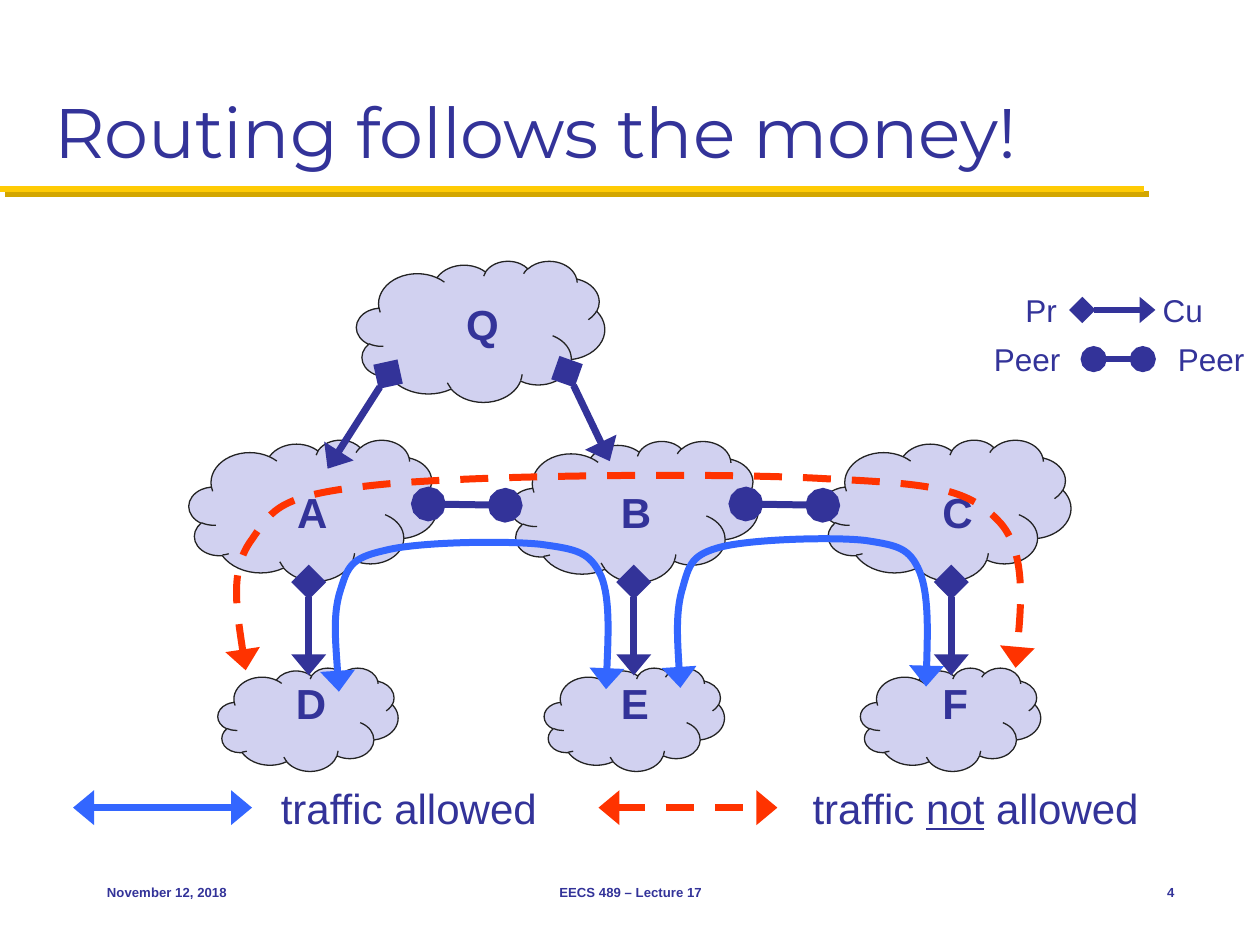
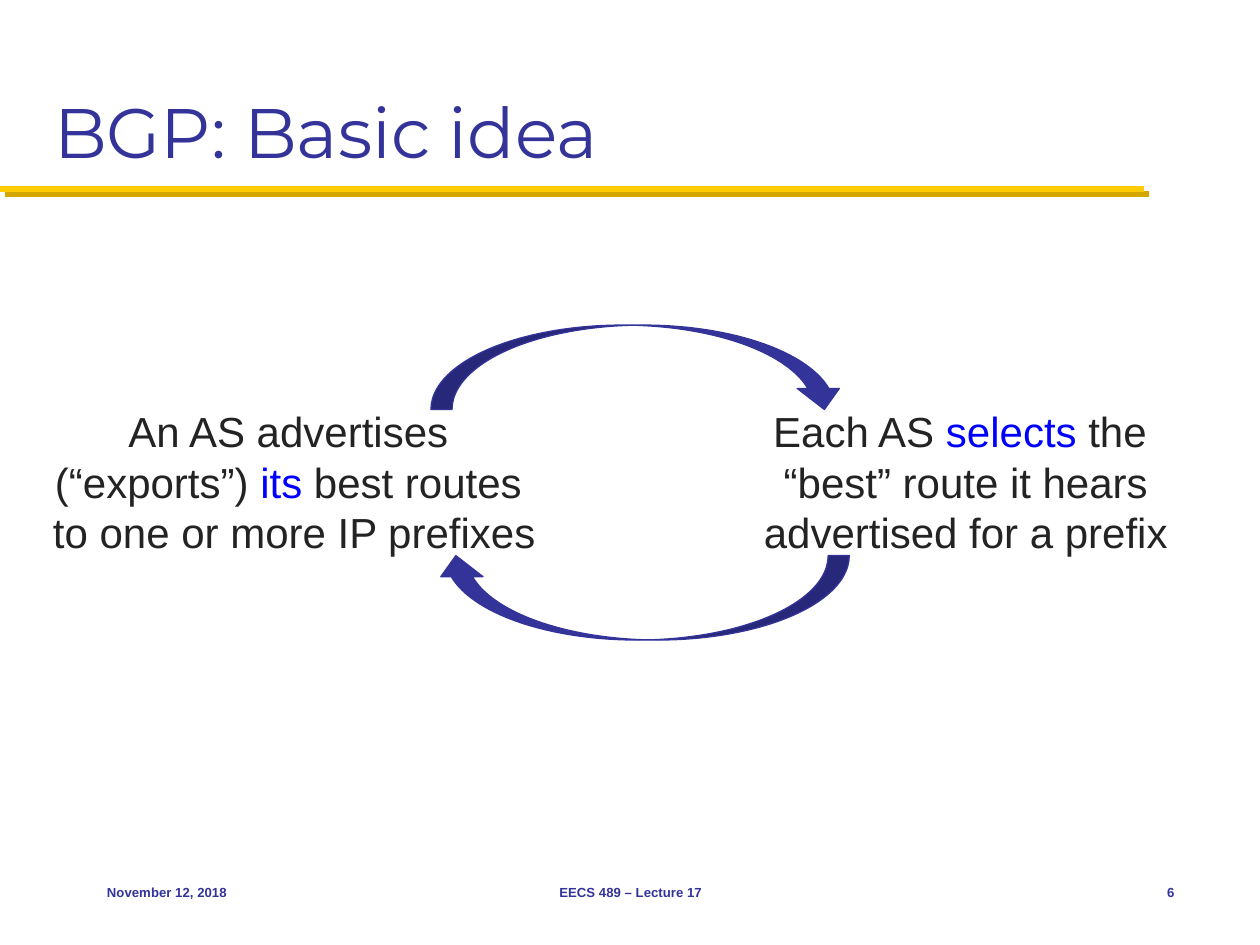
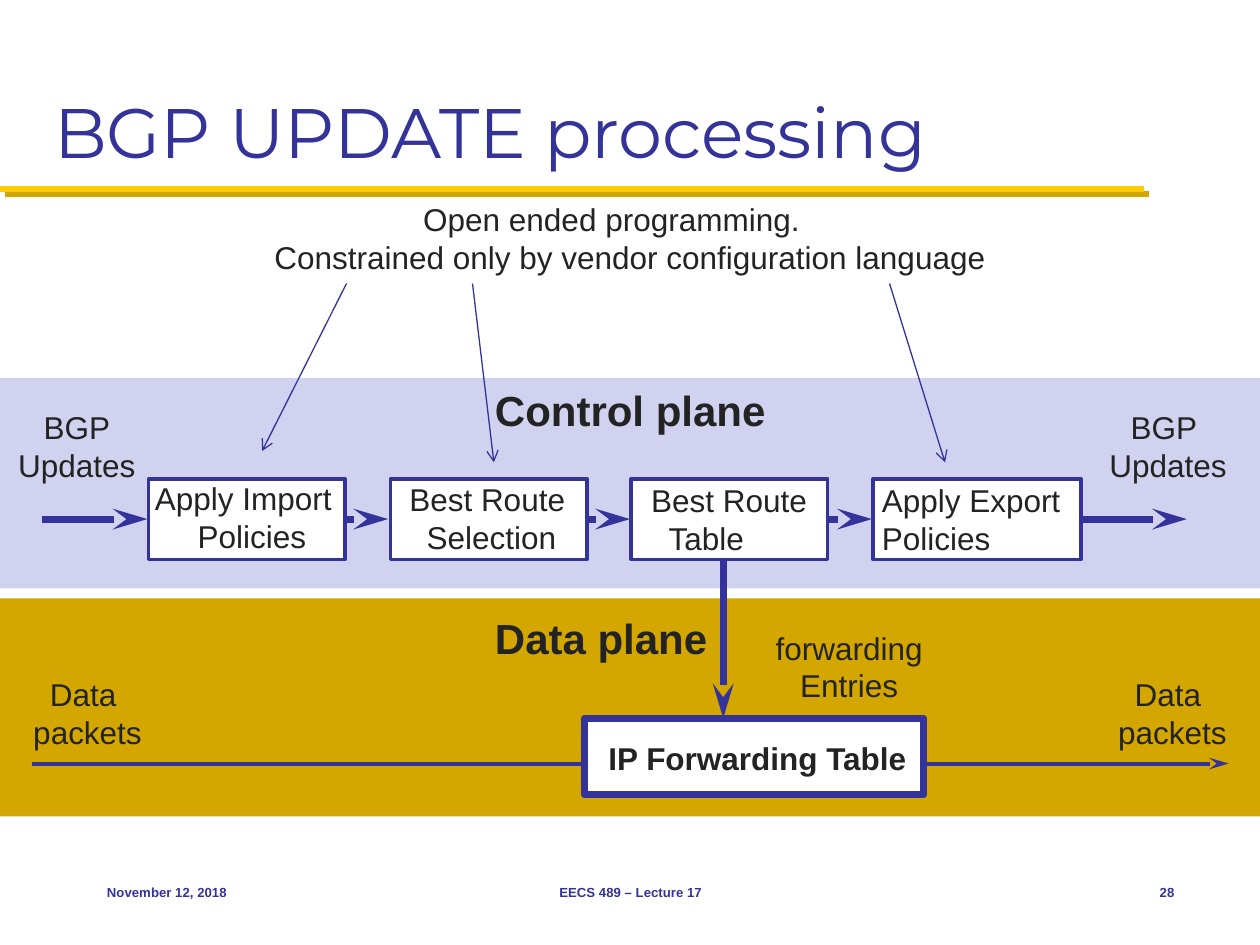
from copy import deepcopy

from pptx import Presentation
from pptx.dml.color import RGBColor
from pptx.enum.dml import MSO_LINE_DASH_STYLE as Dash
from pptx.enum.shapes import MSO_CONNECTOR as Connector, MSO_SHAPE as Preset
from pptx.enum.text import MSO_ANCHOR as Anchor, MSO_AUTO_SIZE as AutoSize, PP_ALIGN as Align
from pptx.oxml.xmlchemy import OxmlElement
from pptx.util import Cm, Pt

NAVY, LAVENDER, INK = "333399", "D1D1F0", "232323"
GOLD, OCHRE, WHITE = "FFCB05", "D3A600", "FFFFFF"
ALLOWED, FORBIDDEN, ACCENT = "3366FF", "FF3300", "0000FF"

TITLE_FONT = {"name": "Montserrat", "size": Pt(40), "bold": False}
LARGE = {"name": "Arial", "size": Pt(24)}
SMALL = {"name": "Arial", "size": Pt(18)}
FOOTER_FONT = {"name": "Arial", "size": Pt(7.5), "bold": True}
BOLD = {"bold": True}

TITLE_AND_BODY, TITLE_ONLY = 1, 5
# Width and length of each kind of line end
HEAD_SIZES = {"triangle": ("lg", "med"), "diamond": ("lg", "lg"), "oval": ("lg", "lg"),
              "stealth": ("med", "lg"), "arrow": ("med", "med")}


def lengths(*inches):
    """Turn positions on the inch grid into lengths."""
    return [Cm(2.54 * value) for value in inches]


def paint(color_format, hex_color):
    """Give a colour format an RGB colour."""
    color_format.rgb = RGBColor.from_string(hex_color)


def set_values(target, values):
    """Set attributes from a dict of format values."""
    for key, value in values.items():
        setattr(target, key, value)


def place(shape, box):
    """Move and size a shape to (left, top, width, height)."""
    set_values(shape, dict(zip(("left", "top", "width", "height"), lengths(*box))))


def add_piece(paragraph, text, font, color):
    """Add formatted text, with a line break at each newline."""
    for index, part in enumerate(text.split("\n")):
        if index:
            paragraph.add_line_break()
        run = paragraph.add_run()
        run.text = part
        set_values(run.font, font)
        paint(run.font.color, color)
        if index:
            run._r.getprevious().append(deepcopy(run._r.rPr))


def write(frame, paragraphs, font, color=INK, align=Align.LEFT, indents=(), before=None):
    """Fill a text frame; a paragraph is a string or (text, format, colour) pieces."""
    for index, content in enumerate(paragraphs):
        paragraph = frame.add_paragraph() if index else frame.paragraphs[0]
        set_values(paragraph, {"alignment": align, "space_before": before})
        if index < len(indents):
            set_values(paragraph._p.get_or_add_pPr(), {})
            paragraph._p.get_or_add_pPr().set("marL", str(Cm(indents[index])))
        pieces = [(content, {}, color)] if isinstance(content, str) else content
        for text, extra, piece_color in pieces:
            add_piece(paragraph, text, {**font, **extra}, piece_color)


def add_text(slide, box, paragraphs, font, wrap=False, grow=True, anchor=Anchor.TOP, **style):
    """Add a text box."""
    label = slide.shapes.add_textbox(*lengths(*box))
    set_values(label.text_frame, {
        "word_wrap": wrap, "vertical_anchor": anchor,
        "auto_size": AutoSize.SHAPE_TO_FIT_TEXT if grow else AutoSize.NONE})
    write(label.text_frame, paragraphs, font, **style)


def add_figure(slide, preset, box, fill, line=None, width=0.75, rotation=0):
    """Add a filled preset shape, outlined when a line colour is given."""
    figure = slide.shapes.add_shape(preset, *lengths(*box))
    figure.rotation = rotation
    figure.shadow.inherit = False
    figure.fill.solid()
    paint(figure.fill.fore_color, fill)
    if line:
        paint(figure.line.color, line)
        figure.line.width = Pt(width)
    else:
        figure.line.fill.background()


def style_line(stroke, color, width, head=None, tail=None, dash=None):
    """Set colour, width, dash and line ends of a stroke."""
    paint(stroke.line.color, color)
    stroke.line.width = Pt(width)
    if dash:
        stroke.line.dash_style = dash
    outline = stroke.element.spPr.get_or_add_ln()
    for tag, kind in (("a:headEnd", head), ("a:tailEnd", tail)):
        if kind:
            end = OxmlElement(tag)
            for key, value in zip(("type", "w", "len"), (kind, *HEAD_SIZES[kind])):
                end.set(key, value)
            outline.append(end)


def add_line(slide, start, end, color=NAVY, width=4, **ends):
    """Add a straight line without a shadow and return it."""
    line = slide.shapes.add_connector(Connector.STRAIGHT, *lengths(*start, *end))
    style_line(line, color, width, **ends)
    line.element.spPr.append(OxmlElement("a:effectLst"))
    return line


def add_route(slide, points, color, dash=None):
    """Add a Bezier curve with arrows at both ends; points include the handles."""
    start, *others = [lengths(*point) for point in points]
    builder = slide.shapes.build_freeform(*start)
    builder.add_line_segments(others, close=False)
    route = builder.convert_to_shape()
    route.shadow.inherit = False
    route.fill.background()
    style_line(route, color, 4, "triangle", "triangle", dash)
    segments = route.element.xpath(".//a:lnTo")
    for first in range(0, len(segments), 3):
        curve = OxmlElement("a:cubicBezTo")
        segments[first].addprevious(curve)
        for segment in segments[first:first + 3]:
            curve.append(segment[0])
            segment.getparent().remove(segment)


def add_title_rule(prs, slide):
    """Draw the gold rule with its hard shadow and hand it to the master."""
    rule = add_line(slide, (0, 1.5), (9.08, 1.5), GOLD, 3.5)
    shadow = OxmlElement("a:outerShdw")
    for key, value in {"dist": Pt(4.2), "dir": 45 * 60000, "algn": "ctr",
                       "rotWithShape": 0}.items():
        shadow.set(key, str(value))
    shade = OxmlElement("a:srgbClr")
    shade.set("val", OCHRE)
    shadow.append(shade)
    rule.element.spPr[-1].append(shadow)
    rule.element.nvCxnSpPr.cNvPr.set("id", "20")
    prs.slide_master.element.cSld.spTree.append(rule.element)


def add_slide(prs, title, number, layout=TITLE_ONLY):
    """Add a slide with the shared title and footers."""
    slide = prs.slides.add_slide(prs.slide_layouts[layout])
    heading = slide.shapes.title
    place(heading, (0.33, 0.17, 9.33, 1.25))
    set_values(heading.text_frame, {"vertical_anchor": Anchor.BOTTOM, "word_wrap": True,
                                    "auto_size": AutoSize.NONE})
    write(heading.text_frame, [title], TITLE_FONT, NAVY)
    for left, width, text, align in (
            (0.75, 2.08, "November 12, 2018", Align.LEFT),
            (3.42, 3.17, "EECS 489 – Lecture 17", Align.CENTER),
            (8.75, 0.67, str(number), Align.RIGHT)):
        add_text(slide, (left, 6.83, width, 0.5), [text], FOOTER_FONT, grow=False,
                 anchor=Anchor.MIDDLE, color=NAVY, align=align)
    return slide


def add_network(slide):
    """Draw the clouds, their links and their names."""
    for left in (1.73, 4.32, 6.83):
        add_figure(slide, Preset.CLOUD, (left, 5.3, 1.43, 0.82), LAVENDER, INK)
    for left, top in ((4.05, 3.5), (6.53, 3.49), (1.5, 3.49), (2.83, 2.07)):
        add_figure(slide, Preset.CLOUD, (left, top, 1.97, 1.12), LAVENDER, INK)
    for left in (3.4, 5.92):
        add_line(slide, (left, 4), (left + 0.61, 4.01), head="oval", tail="oval")
    customer_links = [((x, 4.62), (x, 5.36)) for x in (2.45, 5.03, 7.55)]
    customer_links += [((3.08, 2.97), (2.6, 3.72)), ((4.5, 2.95), (4.84, 3.66))]
    for provider, customer in customer_links:
        add_line(slide, provider, customer, head="diamond", tail="triangle")
    names = {"A": (2.26, 3.81), "B": (4.83, 3.81), "C": (7.38, 3.81), "D": (2.25, 5.33),
             "E": (4.83, 5.33), "F": (7.38, 5.33), "Q": (3.6, 2.32)}
    for name, corner in names.items():
        add_text(slide, (*corner, 0.38, 0.37), [name], {**LARGE, **BOLD}, color=NAVY)


def add_link_legend(slide):
    """Explain the provider-customer and peer links."""
    add_line(slide, (8.59, 2.46), (9.17, 2.46), width=3, head="diamond", tail="triangle")
    add_line(slide, (8.68, 2.85), (9.07, 2.85), width=3, head="oval", tail="oval")
    for left, top, width, role in ((8.04, 2.26, 0.47, "Pr"), (9.13, 2.26, 0.54, "Cu"),
                                   (7.79, 2.65, 0.75, "Peer"), (9.25, 2.65, 0.75, "Peer")):
        add_text(slide, (left, top, width, 0.4), [role], SMALL, color=NAVY)


def add_traffic(slide):
    """Draw the traffic routes and their legend."""
    add_route(slide, [
        (2.69, 5.49), (2.67, 5.18), (2.64, 4.88), (2.7, 4.69), (2.76, 4.5), (2.78, 4.43),
        (3.05, 4.37), (3.31, 4.3), (4.01, 4.29), (4.29, 4.32), (4.58, 4.36), (4.68, 4.38),
        (4.77, 4.57), (4.85, 4.76), (4.81, 5.47), (4.81, 5.47)], ALLOWED)
    add_route(slide, [
        (5.4, 5.46), (5.38, 5.16), (5.36, 4.85), (5.42, 4.66), (5.47, 4.48), (5.49, 4.4),
        (5.73, 4.34), (5.97, 4.28), (6.61, 4.26), (6.87, 4.29), (7.13, 4.33), (7.22, 4.35),
        (7.3, 4.54), (7.38, 4.74), (7.35, 5.45), (7.35, 5.45)], ALLOWED)
    add_route(slide, [
        (1.95, 5.32), (1.89, 4.92), (1.82, 4.52), (2, 4.28), (2.17, 4.03), (2.22, 3.93),
        (2.98, 3.85), (3.74, 3.77), (5.73, 3.75), (6.56, 3.8), (7.38, 3.84), (7.67, 3.87),
        (7.92, 4.13), (8.17, 4.38), (8.06, 5.3), (8.06, 5.3)], FORBIDDEN, Dash.DASH)
    for left, color, dash in ((0.58, ALLOWED, None), (4.75, FORBIDDEN, Dash.DASH)):
        add_line(slide, (left, 6.41), (left + 1.42, 6.41), color, head="triangle",
                 tail="triangle", dash=dash)
    add_text(slide, (2.13, 6.16, 2.25, 0.51), ["traffic allowed"], LARGE, color=NAVY)
    add_text(slide, (6.35, 6.16, 2.81, 0.51), [[
        ("traffic ", {}, NAVY), ("not", {"underline": True}, NAVY),
        (" allowed", {}, NAVY)]], LARGE)


def build_basic_idea(slide):
    """Show the cycle of advertising and selecting routes."""
    cycle_text = {"align": Align.CENTER, "before": Pt(4.8)}
    selection = slide.placeholders[1]
    place(selection, (5.33, 3.17, 4.67, 1.42))
    selection.text_frame.auto_size = AutoSize.NONE
    write(selection.text_frame, [[
        ("Each AS ", {}, INK), ("selects", {}, ACCENT),
        (" the \n“best” route it hears advertised for a prefix", {}, INK)]],
        LARGE, **cycle_text)
    properties = selection.text_frame.paragraphs[0]._p.get_or_add_pPr()
    for key in ("marL", "indent"):
        properties.set(key, "0")
    properties.append(OxmlElement("a:buNone"))
    add_text(slide, (0.25, 3.17, 4.17, 1.42), [[
        ("An AS advertises \n(“exports”) ", {}, INK), ("its", {}, ACCENT),
        (" best routes \nto one or more IP prefixes", {}, INK)]],
        LARGE, wrap=True, grow=False, **cycle_text)
    for left, top, rotation in ((4.73, 1.27, 270), (4.76, 3.1, 90)):
        add_figure(slide, Preset.CURVED_LEFT_ARROW, (left, top, 0.67, 3.29), NAVY, NAVY,
                   rotation=rotation)


def add_planes(slide):
    """Draw the bands of the two planes with their names and inputs."""
    add_figure(slide, Preset.RECTANGLE, (0, 4.75, 10, 1.73), OCHRE)
    add_figure(slide, Preset.RECTANGLE, (0, 3, 10, 1.67), LAVENDER)
    add_line(slide, (0.25, 6.06), (9.75, 6.06), width=2.25, tail="stealth")
    for top, width, plane in ((4.81, 1.9, "Data plane"), (3, 2.37, "Control plane")):
        add_text(slide, (3.83, top, width, 0.5), [plane], {**LARGE, **BOLD})
    for left, first_line in ((0.04, "BGP"), (8.7, "BGP ")):
        add_text(slide, (left, 3.19, 1.14, 0.71), [first_line, "Updates"], SMALL,
                 align=Align.CENTER)
    for left in (0.16, 8.77):
        add_text(slide, (left, 5.31, 1.07, 0.71), ["Data \npackets"], SMALL, wrap=True,
                 align=Align.CENTER)


def add_pipeline(slide):
    """Draw the processing steps and the arrows between them."""
    steps = (
        (1.18, 1.56, (1.12, 3.75, 1.62, 0.71), ["Apply Import", "Policies"], 0.35, Align.CENTER),
        (3.1, 1.56, (3.15, 3.76, 1.45, 0.71), ["Best Route", "Selection"], 0.35, Align.LEFT),
        (5.01, 1.56, (5.07, 3.77, 1.52, 0.71), ["Best Route", "Table"], 0.35, Align.LEFT),
        (6.93, 1.65, (6.9, 3.77, 1.68, 0.71), ["Apply Export", "Policies"], 0, Align.LEFT))
    for left, width, text_box, step, indent, align in steps:
        add_figure(slide, Preset.RECTANGLE, (left, 3.8, width, 0.64), WHITE, NAVY, 2)
        add_text(slide, text_box, step, SMALL, align=align, indents=(0, indent))
    for start, end in ((0.33, 1.17), (2.75, 3.08), (4.67, 5), (6.58, 6.92), (8.58, 9.42)):
        add_line(slide, (start, 4.12), (end, 4.12), tail="stealth")


def add_forwarding(slide):
    """Draw the forwarding table and the entries that feed it."""
    add_line(slide, (5.74, 4.45), (5.74, 5.7), tail="stealth")
    add_text(slide, (6.05, 4.94, 1.38, 0.71), ["forwarding", "Entries"], SMALL,
             align=Align.CENTER)
    add_figure(slide, Preset.RECTANGLE, (4.64, 5.7, 2.69, 0.61), WHITE, NAVY, 4)
    add_text(slide, (4.73, 5.82, 2.59, 0.4), ["IP Forwarding Table"], {**SMALL, **BOLD})


def add_programming_note(slide):
    """Point from the programming note to the steps it is about."""
    add_text(slide, (2.08, 1.54, 5.9, 0.71),
             ["Open ended programming.", "Constrained only by vendor configuration language"],
             SMALL, indents=(3, 0))
    for start, end in (((2.75, 2.25), (2.08, 3.58)), ((3.75, 2.25), (3.92, 3.67)),
                       ((7.06, 2.25), (7.5, 3.67))):
        add_line(slide, start, end, width=0.75, tail="arrow")


def main():
    """Build and save the slides."""
    prs = Presentation()
    prs.slide_width, prs.slide_height = lengths(10, 7.5)

    money = add_slide(prs, "Routing follows the money!", 4)
    add_title_rule(prs, money)
    add_network(money)
    add_link_legend(money)
    add_traffic(money)

    build_basic_idea(add_slide(prs, "BGP: Basic idea", 6, TITLE_AND_BODY))

    processing = add_slide(prs, "BGP UPDATE processing", 28)
    add_planes(processing)
    add_pipeline(processing)
    add_forwarding(processing)
    add_programming_note(processing)

    prs.save("out.pptx")


main()
